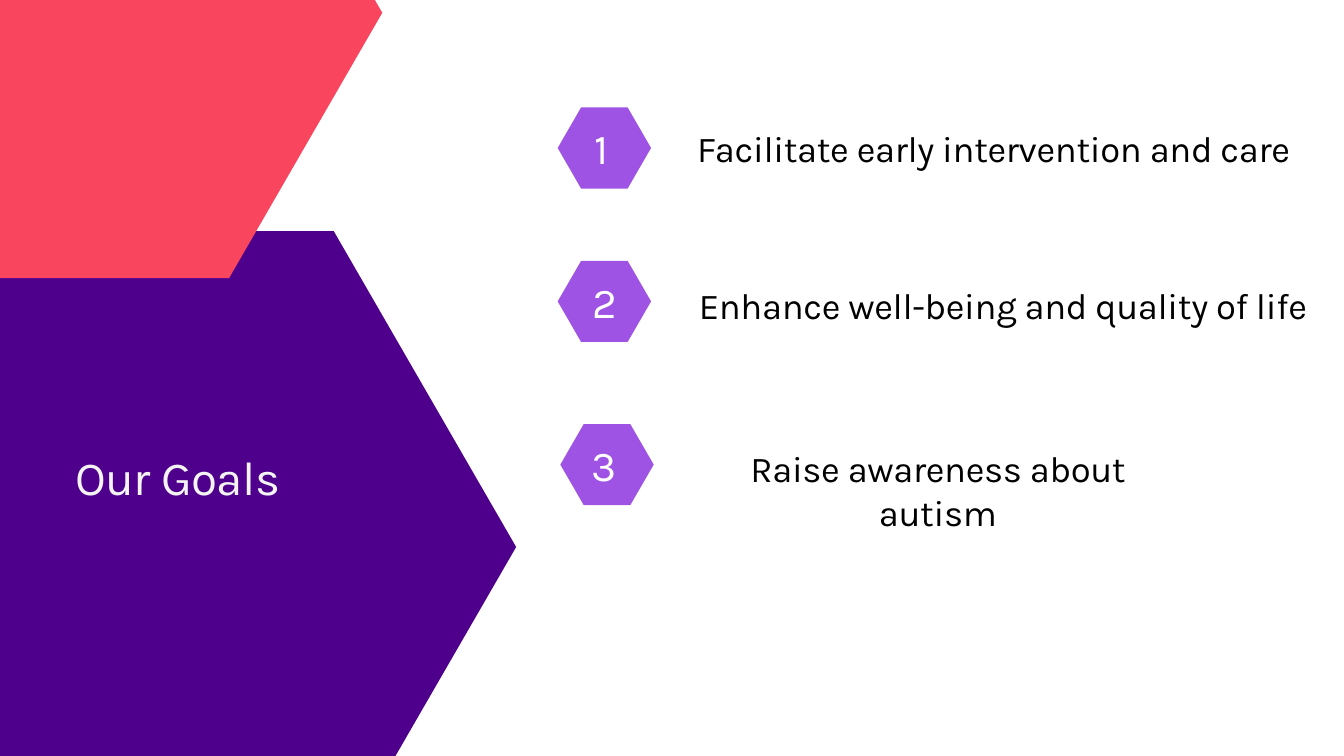
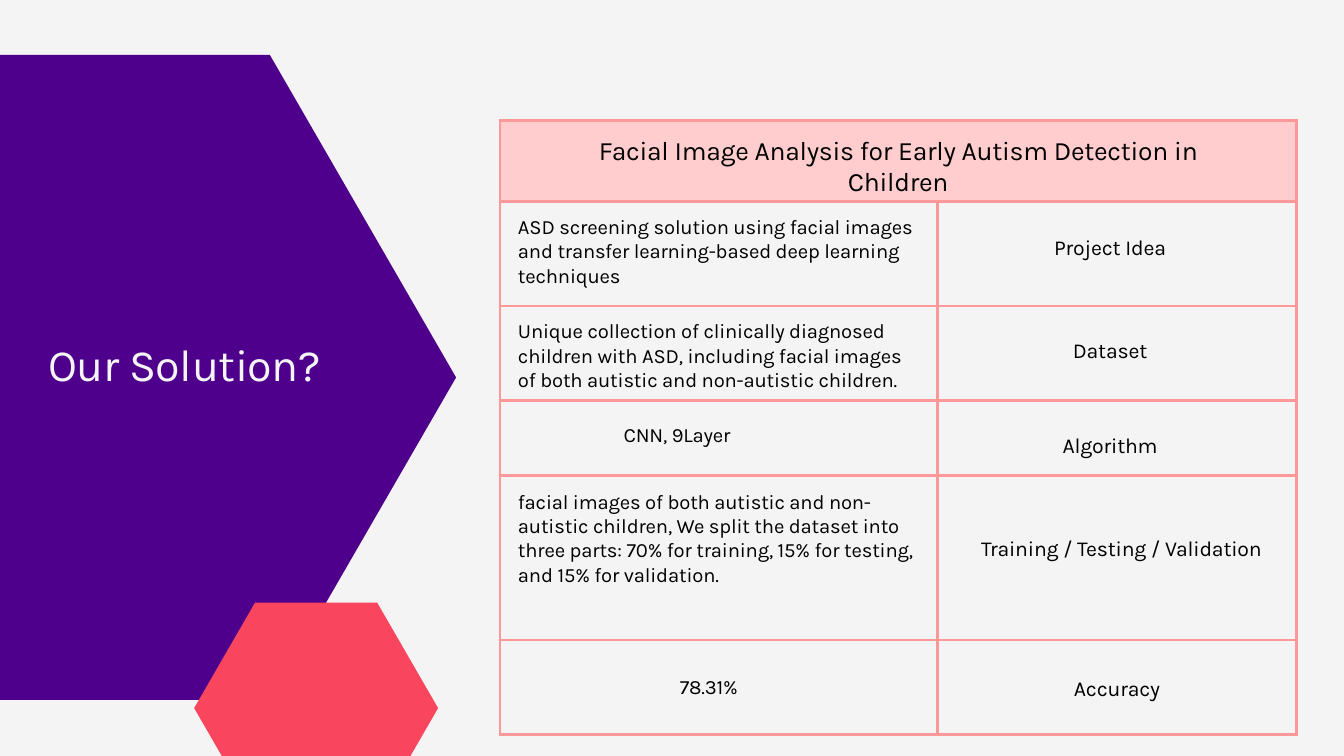
"""Builds two slides on the goals and the solution of an autism screening project."""
from math import sqrt

from lxml import etree
from pptx import Presentation
from pptx.dml.color import RGBColor
from pptx.enum.text import MSO_AUTO_SIZE, PP_ALIGN
from pptx.oxml.ns import qn
from pptx.util import Cm, Pt

LEFT, CENTER = PP_ALIGN.LEFT, PP_ALIGN.CENTER
GROW = MSO_AUTO_SIZE.SHAPE_TO_FIT_TEXT

FONT = "Karla"
WHITE = RGBColor(0xFF, 0xFF, 0xFF)
BLACK = RGBColor(0x00, 0x00, 0x00)
PALE = RGBColor(0xF4, 0xF4, 0xF4)
PURPLE = RGBColor(0x4E, 0x00, 0x8C)
CORAL = RGBColor(0xF9, 0x45, 0x5D)
VIOLET = RGBColor(0x9F, 0x53, 0xE5)
PINK = RGBColor(0xFF, 0xCD, 0xCD)
ROSE = RGBColor(0xFF, 0x99, 0x99)

BODY, LABEL = 21.7, 22.8

GOALS = [
    ("1", (21.08, 4.06), 20.88, "Facilitate early intervention and care", (26.11, 4.78, 22.89)),
    ("2", (21.08, 9.86), 20.98, "Enhance well-being and quality of life", (26.16, 10.69, 23.5)),
    ("3", (21.18, 16.03), 20.98, "Raise awareness about autism", (26.2, 16.87, 18.5)),
]
FACTS = [
    ("ASD screening solution using facial images and transfer learning-based "
     "deep learning techniques", (19.58, 8.1), 2.72, LEFT),
    ("Unique collection of clinically diagnosed children with ASD, including "
     "facial images of both autistic and non-autistic children.", (19.58, 12.04), 2.72, LEFT),
    ("CNN, 9Layer", (23.57, 15.98), 0.91, LEFT),
    ("facial images of both autistic and non-autistic children, We split the dataset "
     "into three parts: 70% for training, 15% for testing, and 15% for validation.",
     (19.58, 18.49), 4.52, LEFT),
    ("78.31%", (19.15, 25.5), 0.91, CENTER),
]
LABELS = [
    ("Project Idea", 34.44, 8.86),
    ("Dataset", 34.44, 12.75),
    ("Algorithm", 34.44, 16.33),
    ("Training / Testing / Validation", 34.87, 20.22),
    ("Accuracy", 34.7, 25.53),
]
COLS = [16.54, 13.56]
ROWS = [3.07, 3.94, 3.58, 2.84, 6.22, 3.56]


def add_slide(deck, color):
    """Add a blank slide with a plain background."""
    slide = deck.slides.add_slide(deck.slide_layouts[6])
    fill = slide.background.fill
    fill.solid()
    fill.fore_color.rgb = color
    return slide


def add_text(slide, text, left, top, width, height, *, size, color=BLACK, align=CENTER):
    """Add a text box whose leading and tracking follow from the size."""
    box = slide.shapes.add_textbox(Cm(left), Cm(top), Cm(width), Cm(height))
    frame = box.text_frame
    frame.word_wrap = True
    frame.auto_size = GROW
    frame.margin_left = frame.margin_right = frame.margin_top = frame.margin_bottom = 0
    para = frame.paragraphs[0]
    para.alignment = align
    para.line_spacing = Pt(1.2 * size)
    run = para.add_run()
    run.text = text
    run.font.name = FONT
    run.font.size = Pt(size)
    run.font.color.rgb = color
    run._r.get_or_add_rPr().set("spc", str(-10 * round(size / 10)))


def add_title(slide, text, left, top, width, height, size):
    """Add the pale title that lies on the purple hexagon."""
    add_text(slide, text, left, top, width, height, size=size, color=PALE, align=LEFT)


def add_hex(slide, left, top, width, height, color):
    """Draw a hexagon with sides sloped at sixty degrees."""
    inset = height / sqrt(12)
    right, mid, base = left + width, top + height / 2, top + height
    points = [(left + inset, top), (right - inset, top), (right, mid),
              (right - inset, base), (left + inset, base)]
    pen = slide.shapes.build_freeform(Cm(left), Cm(mid))
    pen.add_line_segments([(Cm(x), Cm(y)) for x, y in points], close=True)
    shape = pen.convert_to_shape()
    shape.shadow.inherit = False
    shape.fill.solid()
    shape.fill.fore_color.rgb = color
    shape.line.fill.background()


def set_edges(cell, color, width):
    """Rule all four sides of a table cell."""
    props = cell._tc.get_or_add_tcPr()
    for side in "LRTB":
        line = etree.SubElement(props, qn(f"a:ln{side}"), w=str(Pt(width)))
        fill = etree.SubElement(line, qn("a:solidFill"))
        etree.SubElement(fill, qn("a:srgbClr"), val=str(color))


def add_grid(slide, left, top):
    """Add the ruled table with one merged header row."""
    frame = slide.shapes.add_table(len(ROWS), len(COLS), Cm(left), Cm(top),
                                   Cm(sum(COLS)), Cm(sum(ROWS)))
    table = frame.table
    table.first_row = table.horz_banding = False
    for col, width in zip(table.columns, COLS):
        col.width = Cm(width)
    for row, height in zip(table.rows, ROWS):
        row.height = Cm(height)
    for cell in table.iter_cells():
        set_edges(cell, ROSE, 3)
        cell.fill.background()
    head = table.cell(0, 0)
    head.merge(table.cell(0, 1))
    head.fill.solid()
    head.fill.fore_color.rgb = PINK


def add_goals(deck):
    """Build the slide with the numbered goals."""
    slide = add_slide(deck, WHITE)
    add_hex(slide, -8.05, 8.74, 27.56, 23.88, PURPLE)
    add_hex(slide, -8.71, -9.55, 23.16, 20.07, CORAL)
    for num, (left, top), num_left, goal, (x, y, width) in GOALS:
        add_hex(slide, left, top, 3.53, 3.07, VIOLET)
        add_text(slide, num, num_left, top + 0.57, 3.73, 1.9, size=45.6, color=WHITE)
        add_text(slide, goal, x, y, width, 1.65, size=39)
    add_title(slide, "Our Goals", 2.84, 16.92, 13.08, 2.16, 51)


def add_answer(deck):
    """Build the slide with the solution table."""
    slide = add_slide(deck, PALE)
    add_hex(slide, -8.74, 2.08, 25.98, 24.38, PURPLE)
    add_hex(slide, 7.34, 22.78, 9.22, 7.98, CORAL)
    add_grid(slide, 18.9, 4.55)
    add_title(slide, "Our Solution?", 1.83, 12.73, 12.32, 2.03, 48)
    add_text(slide, "Facial Image Analysis for Early Autism Detection in Children",
             20.93, 5.05, 26.04, 2.41, size=28.4)
    for fact, (left, top), height, align in FACTS:
        add_text(slide, fact, left, top, 15.29, height, size=BODY, align=align)
    for label, left, top in LABELS:
        add_text(slide, label, left, top, 15.04, 0.97, size=LABEL)


def main():
    """Build and save the deck."""
    deck = Presentation()
    deck.slide_width, deck.slide_height = Cm(50.8), Cm(28.58)
    add_goals(deck)
    add_answer(deck)
    deck.save("out.pptx")


if __name__ == "__main__":
    main()
